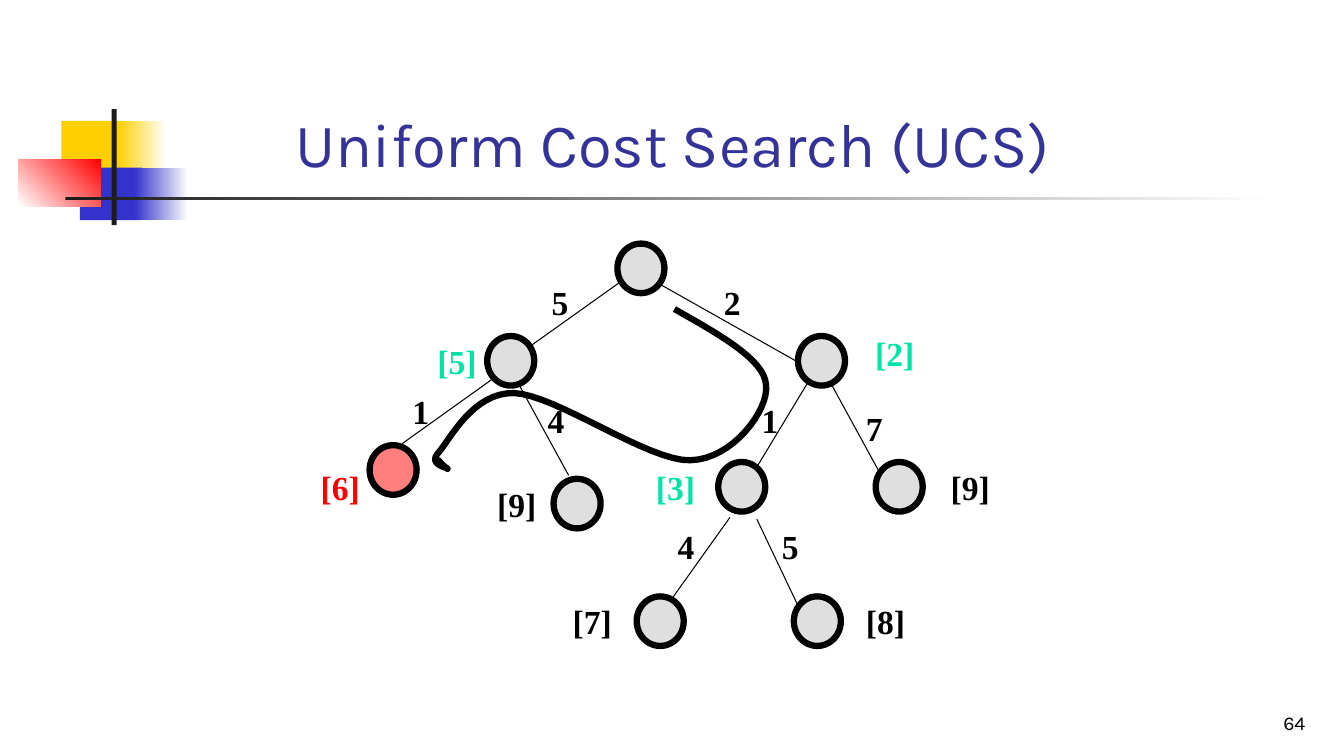
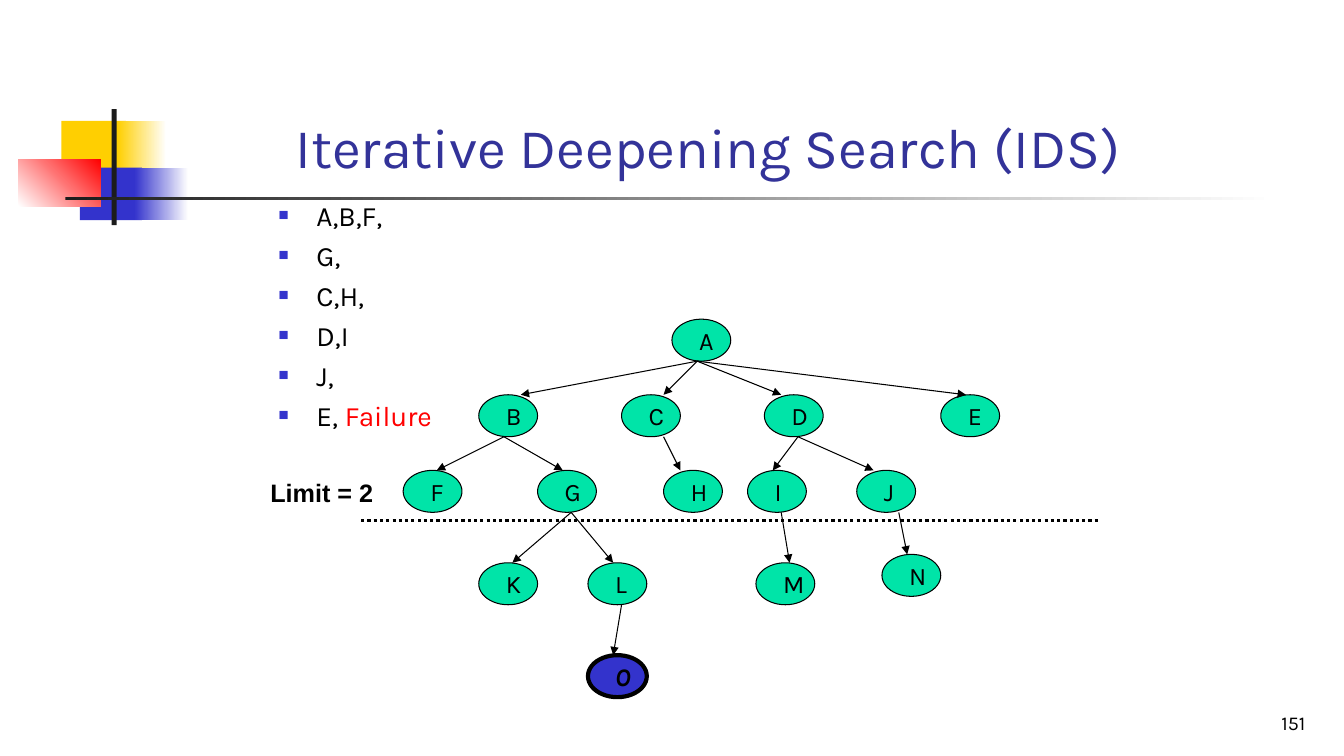
import lxml.etree
import pptx
import pptx.dml.color
import pptx.enum.dml
import pptx.enum.shapes
import pptx.enum.text
import pptx.oxml.ns
import pptx.util

COLOURS = {
    "white": "FFFFFF", "black": "000000", "charcoal": "1C1C1C",
    "yellow": "FFCF01", "blue": "3333CC", "red": "FF0000",
    "title": "333399", "green": "00E4A8", "grey": "C0C0C0",
}
COLUMNS, ROWS = 160, 90
CELL = pptx.util.Inches(7.5) // ROWS
SHAPES = pptx.enum.shapes.MSO_SHAPE
ANCHOR = pptx.enum.text.MSO_ANCHOR
ALIGN = pptx.enum.text.PP_ALIGN

# Title ornament: left, top, width, height, start colour, end colour, angle
ORNAMENT = [
    (7.3, 14.4, 7.7, 6.25, "yellow", None, 0),
    (14, 14.4, 5.8, 6.25, "yellow", "white", 0),
    (9.5, 19.95, 7.4, 6.25, "blue", None, 0),
    (16, 19.95, 6.4, 6.25, "blue", "white", 0),
    (2.2, 18.95, 9.8, 5.6, "white", "red", 45),
    (13.3, 13, 0.6, 13.8, "charcoal", None, 0),
    (7.8, 23.4, 144, 0.4, "charcoal", "white", 0),
]

COST_NODE = (5.6, 5.9)
COST_NODES = [
    (73.5, 29, "grey"), (58, 40, "grey"), (95, 40, "grey"),
    (104.25, 55, "grey"), (85.5, 55, "grey"), (94.5, 71, "grey"),
    (75.8, 71, "grey"), (44, 53, "red"), (65.9, 57, "grey"),
]
COST_EDGES = [
    (73.8, 33.6, 63, 41.3), (78.5, 33.8, 94.8, 43),
    (96.2, 45.5, 90.1, 55.6), (99, 45.8, 104.8, 56.4),
    (86.9, 61.6, 79.9, 71.4), (90.1, 61.8, 95, 72.1),
    (58.8, 45, 47.9, 52.8), (61.9, 46, 67.7, 56.6),
]
STEP_COSTS = [
    ("2", 85, 33), ("5", 64.5, 33), ("1", 89.5, 47), ("7", 101.9, 48),
    ("4", 79.5, 62), ("5", 91.9, 62), ("1", 47.9, 46), ("4", 64, 47),
]
TOTAL_COSTS = [
    ("[5]", 50.9, 40, "green"), ("[2]", 103, 39, "green"),
    ("[9]", 112, 55, "black"), ("[3]", 76.9, 55, "green"),
    ("[7]", 67, 71, "black"), ("[8]", 101.9, 71, "black"),
    ("[9]", 58, 57, "black"), ("[6]", 37, 55, "red"),
]
# Start point, then two control points and an end point for each curve
VISIT_TRAIL = [
    (80.3, 36.8),
    (85.6, 39.8), (91, 42.8), (91.2, 45.8),
    (91.6, 48.8), (87.2, 54.7), (82.2, 54.8),
    (77.3, 55), (66.2, 47), (61.2, 46.8),
    (56.3, 46.7), (53.6, 52.3), (52.2, 53.9),
    (50.9, 55.3), (53.3, 55.7), (53.3, 55.8),
    (53.3, 56), (52.2, 54.8), (52.2, 54.8),
    (52.2, 54.8), (53, 55.7), (53.3, 55.8),
]

DEPTH_NODE = (7, 5)
DEPTH_NODES = {
    "A": (80, 38), "B": (57, 47), "C": (74, 47), "D": (91, 47),
    "E": (112, 47), "F": (48, 56), "G": (64, 56), "H": (79, 56),
    "I": (89, 56), "J": (102, 56), "K": (57, 67), "L": (70, 67),
    "M": (90, 67), "N": (105, 66), "O": (70, 78),
}
# Parent: column where its arrows start, and where each one meets a child
DEPTH_EDGES = {
    "A": (83, {"B": 62, "C": 79, "D": 93, "E": 115}),
    "B": (60, {"F": 52, "G": 67}),
    "C": (79, {"H": 81}),
    "D": (95, {"I": 92, "J": 104}),
    "G": (68, {"K": 61, "L": 73}),
    "I": (93, {"M": 94}),
    "J": (107, {"N": 108}),
    "L": (74, {"O": 73}),
}
VISITS = [[("A,B,F,", None)], [("G,", None)], [("C,H,", None)],
          [("D,I", None)], [("J,", None)], [("E, ", None), ("Failure", "red")]]


def cells(*counts):
    return [pptx.util.Emu(round(count * CELL)) for count in counts]


def rgb(name):
    return pptx.dml.color.RGBColor.from_string(COLOURS[name])


def add_xml(parent, tag, **attributes):
    return lxml.etree.SubElement(parent, pptx.oxml.ns.qn(tag), attributes)


def style_font(paragraph, size, colour="black", face="Karla", bold=False, italic=False):
    font = paragraph.font
    font.name, font.size = face, pptx.util.Pt(size)
    font.bold, font.italic = bold, italic
    font.color.rgb = rgb(colour)


def style_line(line, weight):
    line.color.rgb = rgb("black")
    line.width = pptx.util.Pt(weight)


def add_block(slide, box, colour, kind=SHAPES.RECTANGLE):
    block = slide.shapes.add_shape(kind, *cells(*box))
    block.shadow.inherit = False
    block.fill.solid()
    block.fill.fore_color.rgb = rgb(colour)
    block.line.fill.background()
    return block


def add_node(slide, place, size, colour, weight):
    node = add_block(slide, (*place, *size), colour, SHAPES.OVAL)
    style_line(node.line, weight)
    return node


def add_text(slide, box, words, size, anchor=ANCHOR.TOP, align=ALIGN.LEFT,
             wrap=True, **font):
    holder = slide.shapes.add_textbox(*cells(*box))
    frame = holder.text_frame
    frame.word_wrap = wrap
    frame.vertical_anchor = anchor
    paragraph = frame.paragraphs[0]
    paragraph.text = words
    paragraph.alignment = align
    style_font(paragraph, size, **font)


def add_edge(slide, ends, weight=0.75, arrow=False):
    edge = slide.shapes.add_connector(
        pptx.enum.shapes.MSO_CONNECTOR.STRAIGHT, *cells(*ends))
    style_line(edge.line, weight)
    if arrow:
        add_xml(edge.line._get_or_add_ln(), "a:tailEnd", type="triangle")
    add_xml(edge._element.spPr, "a:effectLst")
    return edge


def add_curve(slide, points, weight, steps=16):
    """Draw joined cubic curves as one open, unfilled outline."""
    outline = []
    for first in range(0, len(points) - 1, 3):
        corners = points[first:first + 4]
        for step in range(1, steps + 1):
            t = step / steps
            shares = ((1 - t) ** 3, 3 * t * (1 - t) ** 2, 3 * t * t * (1 - t), t ** 3)
            outline.append(cells(*(
                sum(share * corner[axis] for share, corner in zip(shares, corners))
                for axis in (0, 1))))
    builder = slide.shapes.build_freeform(*cells(*points[0]))
    builder.add_line_segments(outline, close=False)
    curve = builder.convert_to_shape()
    curve.shadow.inherit = False
    curve.fill.background()
    style_line(curve.line, weight)


def add_bullets(slide, box, items, size):
    frame = slide.shapes.add_textbox(*cells(*box)).text_frame
    frame.word_wrap = True
    for index, runs in enumerate(items):
        paragraph = frame.paragraphs[0] if index == 0 else frame.add_paragraph()
        properties = paragraph._p.get_or_add_pPr()
        indent = cells(4.5)[0]
        properties.set("marL", str(indent))
        properties.set("indent", str(-indent))
        add_xml(add_xml(properties, "a:buClr"), "a:srgbClr", val=COLOURS["blue"])
        add_xml(properties, "a:buSzPct", val="60000")
        add_xml(properties, "a:buFont", typeface="Arial")
        add_xml(properties, "a:buChar", char="■")
        if index:
            paragraph.space_before = pptx.util.Pt(4.6)
        style_font(paragraph, size)
        for words, colour in runs:
            run = paragraph.add_run()
            run.text = words
            if colour:
                run.font.color.rgb = rgb(colour)


def add_base_slide(deck, title, title_size, number):
    slide = deck.slides.add_slide(deck.slide_layouts[6])
    for *box, start, end, angle in ORNAMENT:
        block = add_block(slide, box, start)
        if end:
            block.fill.gradient()
            block.fill.gradient_angle = angle
            for stop, colour in zip(block.fill.gradient_stops, (start, end)):
                stop.color.rgb = rgb(colour)
    add_text(slide, (34, 7, 102, 15), title, title_size, ANCHOR.BOTTOM, colour="title")
    add_text(slide, (123.2, 82, 33.4, 6), number, 14, ANCHOR.BOTTOM, ALIGN.RIGHT)
    return slide


def add_cost_tree(slide):
    for column, row, colour in COST_NODES:
        node = add_node(slide, (column, row), COST_NODE, colour, 4.5)
        tint = node._element.spPr.find(pptx.oxml.ns.qn("a:solidFill"))[0]
        add_xml(tint, "a:alpha", val="50000")
    for ends in COST_EDGES:
        add_edge(slide, ends)
    labels = [(*cost, "black", 4.4) for cost in STEP_COSTS]
    labels += [(*cost, 7.1) for cost in TOTAL_COSTS]
    for words, column, row, colour, width in labels:
        add_text(slide, (column, row, width, 6), words, 24, wrap=False,
                 colour=colour, face="Times New Roman", bold=True)
    add_curve(slide, VISIT_TRAIL, 4.5)


def add_depth_tree(slide):
    for name, place in DEPTH_NODES.items():
        goal = name == "O"
        node = add_node(slide, place, DEPTH_NODE, "blue" if goal else "green",
                        3 if goal else 0.75)
        frame = node.text_frame
        frame.margin_left = cells(2.2)[0]
        frame.margin_right = frame.margin_top = frame.margin_bottom = 0
        frame.vertical_anchor = ANCHOR.MIDDLE
        paragraph = frame.paragraphs[0]
        paragraph.text = name
        paragraph.alignment = ALIGN.LEFT
        style_font(paragraph, 18, bold=goal, italic=goal)
    for parent, (start, children) in DEPTH_EDGES.items():
        bottom = DEPTH_NODES[parent][1] + DEPTH_NODE[1]
        for child, end in children.items():
            add_edge(slide, (start, bottom, end, DEPTH_NODES[child][1]), arrow=True)


def main():
    deck = pptx.Presentation()
    deck.slide_width, deck.slide_height = cells(COLUMNS, ROWS)

    add_cost_tree(add_base_slide(deck, "Uniform Cost Search (UCS)", 44, "64"))

    deepening = add_base_slide(deck, "Iterative Deepening Search (IDS)", 40, "151")
    add_bullets(deepening, (32, 23, 102, 11), VISITS, 20)
    add_depth_tree(deepening)
    add_text(deepening, (31, 56.2, 16, 4.8), "Limit = 2", 18, face="Arial", bold=True)
    limit = add_edge(deepening, (43, 62, 131, 62), 2.25)
    limit.line.dash_style = pptx.enum.dml.MSO_LINE.ROUND_DOT

    deck.save("out.pptx")


if __name__ == "__main__":
    main()
